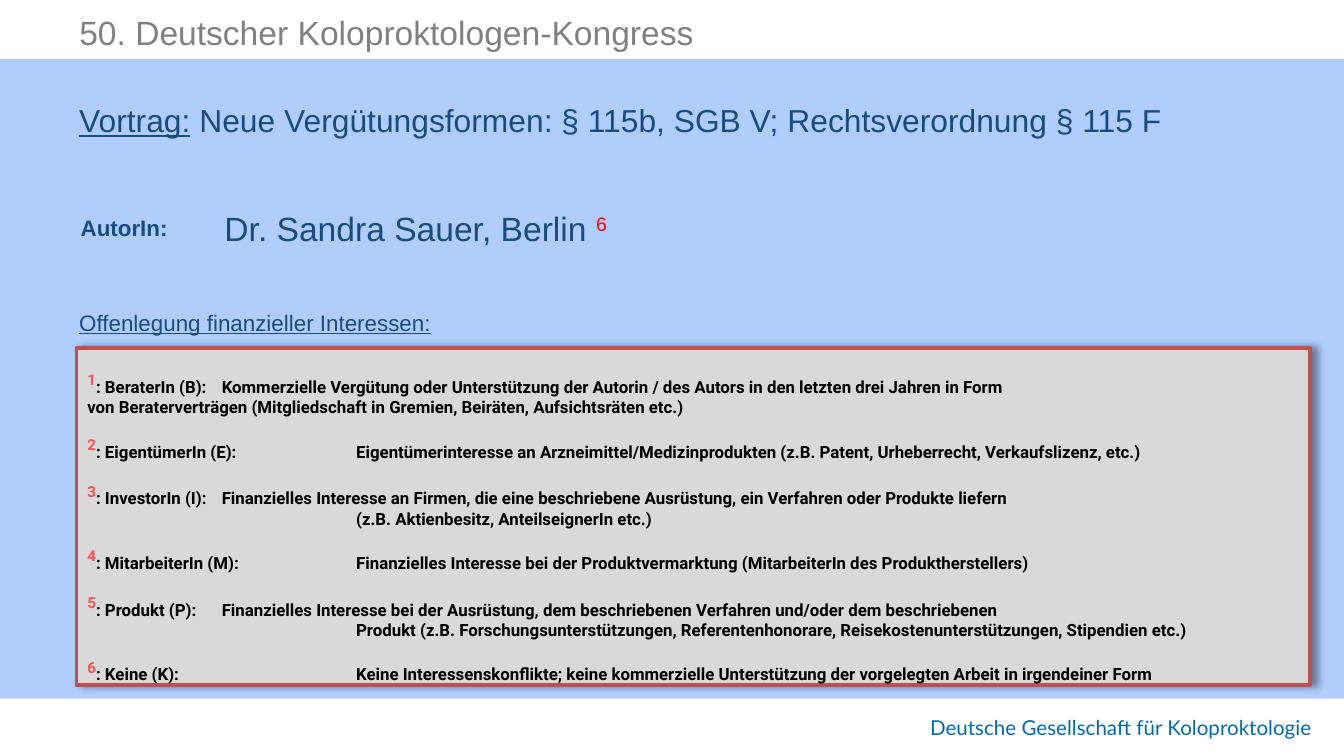
from lxml.etree import SubElement
from pptx import Presentation
from pptx.dml.color import RGBColor
from pptx.enum.shapes import MSO_SHAPE as Shape
from pptx.enum.text import MSO_ANCHOR as Anchor, PP_ALIGN as Align
from pptx.oxml import parse_xml
from pptx.oxml.ns import nsdecls, qn
from pptx.util import Inches, Pt

SKY = RGBColor(0xB0, 0xCD, 0xFD)
NAVY = RGBColor(0x19, 0x4B, 0x7E)
GRAY = RGBColor(0x80, 0x80, 0x80)
SILVER = RGBColor(0xD9, 0xD9, 0xD9)
BRICK = RGBColor(0xC0, 0x50, 0x4D)
CORAL = RGBColor(0xFF, 0x4F, 0x4F)
RED = RGBColor(0xFF, 0x00, 0x00)
BLUE = RGBColor(0x00, 0x69, 0xB2)
BLACK = RGBColor(0, 0, 0)

# number, label, tab column in inches, text, second line, its indent in inches
DISCLOSURES = [
    ("1", "BeraterIn (B):", 1,
     "Kommerzielle Vergütung oder Unterstützung der Autorin / des Autors in den letzten drei Jahren in Form",
     "von Beraterverträgen (Mitgliedschaft in Gremien, Beiräten, Aufsichtsräten etc.)", 0),
    ("2", "EigentümerIn (E):", 2,
     "Eigentümerinteresse an Arzneimittel/Medizinprodukten (z.B. Patent, Urheberrecht, Verkaufslizenz, etc.)",
     None, 0),
    ("3", "InvestorIn (I):", 1,
     "Finanzielles Interesse an Firmen, die eine beschriebene Ausrüstung, ein Verfahren oder Produkte liefern",
     "(z.B. Aktienbesitz, AnteilseignerIn etc.)", 2),
    ("4", "MitarbeiterIn (M):", 2,
     "Finanzielles Interesse bei der Produktvermarktung (MitarbeiterIn des Produktherstellers)",
     None, 0),
    ("5", "Produkt (P):", 1,
     "Finanzielles Interesse bei der Ausrüstung, dem beschriebenen Verfahren und/oder dem beschriebenen",
     "Produkt (z.B. Forschungsunterstützungen, Referentenhonorare, Reisekostenunterstützungen, Stipendien etc.)", 2),
    ("6", "Keine (K):", 2,
     "Keine Interessenskonflikte; keine kommerzielle Unterstützung der vorgelegten Arbeit in irgendeiner Form",
     None, 0),
]


def set_frame(frame, top=0.04):
    margins = {"margin_left": 0.08, "margin_right": 0.08, "margin_top": top, "margin_bottom": 0.04}
    for name, value in margins.items():
        setattr(frame, name, Inches(value))
    frame.word_wrap = True
    frame.vertical_anchor = Anchor.TOP


def add_run(paragraph, text, color, size, font="Arial", raised=False, **styles):
    run = paragraph.add_run()
    run.text = text
    run.font.color.rgb = color
    for name, value in {"size": Pt(size), "name": font, **styles}.items():
        setattr(run.font, name, value)
    if raised:
        run.font._element.set("baseline", "30000")


def add_line(slide, left, top, width, height):
    """Add an empty text box and return its paragraph."""
    box = slide.shapes.add_textbox(*map(Inches, (left, top, width, height)))
    set_frame(box.text_frame)
    return box.text_frame.paragraphs[0]


def add_panel(slide, left, top, width, height, fill):
    panel = slide.shapes.add_shape(Shape.RECTANGLE, *map(Inches, (left, top, width, height)))
    panel.shadow.inherit = False
    panel.fill.solid()
    panel.fill.fore_color.rgb = fill
    panel.line.fill.background()
    return panel


def add_shadow(panel):
    effects = panel._element.spPr.find(qn("a:effectLst"))
    effects.append(parse_xml(
        f'<a:outerShdw {nsdecls("a")} blurRad="{Pt(4)}" dist="{Pt(3)}" dir="0" algn="l" rotWithShape="0">'
        '<a:srgbClr val="000000"><a:alpha val="40000"/></a:srgbClr></a:outerShdw>'))


def add_talk(slide, left, top, width):
    title = add_line(slide, left, top, width, 0.22)
    title.line_spacing = 0.9
    add_run(title, "Vortrag:", NAVY, 17, underline=True)
    add_run(title, " Neue Vergütungsformen: § 115b, SGB V; Rechtsverordnung § 115 F", NAVY, 17)
    add_run(add_line(slide, left + 0.01, top + 0.81, 1.89, 0.28), "AutorIn:", NAVY, 12, bold=True)
    author = add_line(slide, left + 1.08, top + 0.77, 8.37, 0.38)
    add_run(author, "Dr. Sandra Sauer, Berlin ", NAVY, 18)
    add_run(author, "6", RED, 18, raised=True)


def add_disclosures(slide, left, top, width, height):
    heading = add_line(slide, left - 0.06, top - 0.33, 2.8, 0.28)
    add_run(heading, "Offenlegung finanzieller Interessen:", NAVY, 12, underline=True)
    panel = add_panel(slide, left, top, width, height, SILVER)
    panel.line.color.rgb = BRICK
    panel.line.width = Pt(2)
    add_shadow(panel)
    frame = panel.text_frame
    set_frame(frame, top=0.17)

    def new_paragraph(first=False):
        paragraph = frame.paragraphs[0] if first else frame.add_paragraph()
        paragraph.alignment = Align.LEFT
        paragraph.line_spacing = 0.9
        paragraph.space_before = Pt(0)
        return paragraph

    body = {"color": BLACK, "size": 9, "font": "Roboto", "bold": True}
    for index, (number, label, column, text, second_line, indent) in enumerate(DISCLOSURES):
        item = new_paragraph(first=index == 0)
        if index:
            item.space_before = Pt(9.8)
        tabs = SubElement(item._p.get_or_add_pPr(), qn("a:tabLst"))
        SubElement(tabs, qn("a:tab"), pos=str(Inches(column)), algn="l")
        add_run(item, number, CORAL, 14, "Roboto", raised=True, bold=True)
        add_run(item, f": {label}\t{text}", **body)
        if second_line:
            continuation = new_paragraph()
            continuation._p.get_or_add_pPr().set("marL", str(Inches(indent)))
            add_run(continuation, second_line, **body)


def main():
    deck = Presentation()
    deck.slide_width = Inches(10)
    deck.slide_height = deck.slide_width * 9 // 16
    slide = deck.slides.add_slide(deck.slide_layouts[6])
    add_panel(slide, 0, 0.44, 10, 4.76, SKY)
    add_run(add_line(slide, 0.51, 0.05, 5.91, 0.38), "50. Deutscher Koloproktologen-Kongress", GRAY, 18)
    add_talk(slide, 0.51, 0.74, 9.24)
    add_disclosures(slide, 0.57, 2.59, 9.18, 2.51)
    add_run(add_line(slide, 6.84, 5.28, 3.1, 0.26), "Deutsche Gesellschaft für Koloproktologie", BLUE, 11, "Lato")
    deck.save("out.pptx")


if __name__ == "__main__":
    main()
